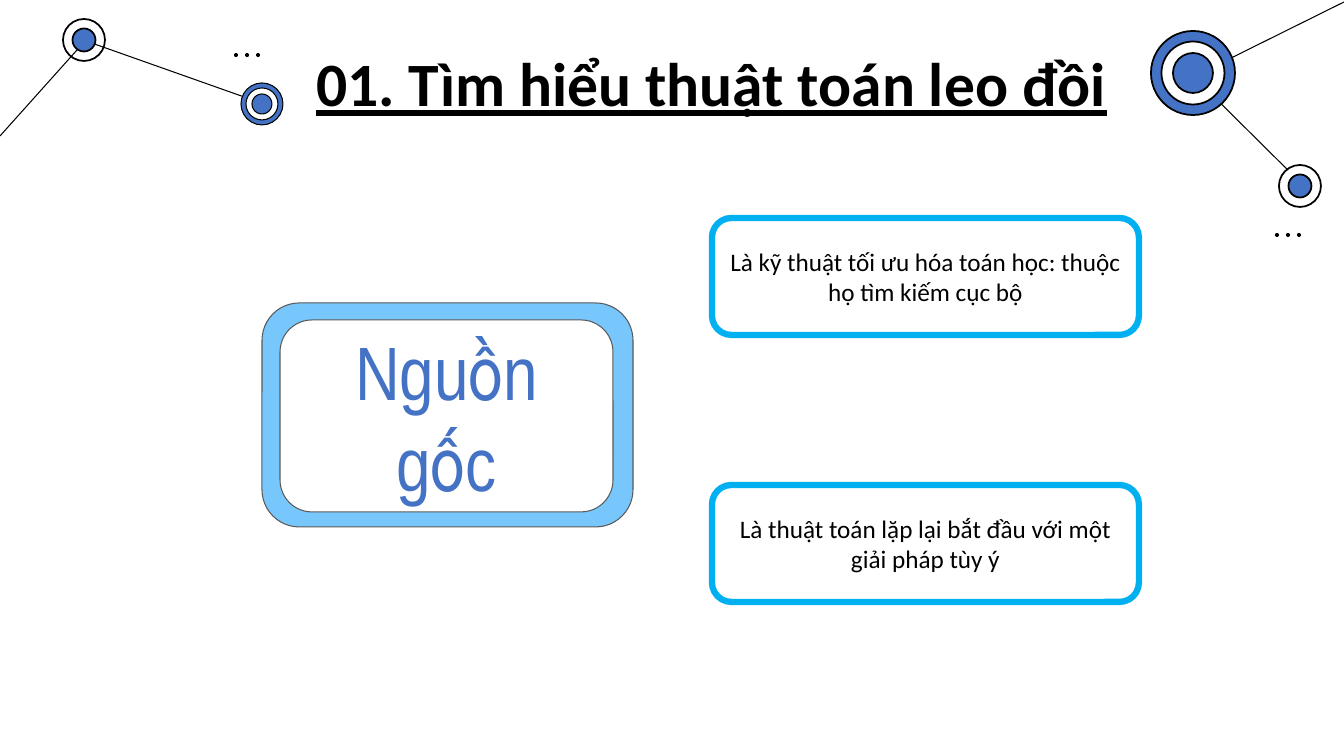
from dataclasses import dataclass
from typing import Optional

from pptx import Presentation
from pptx.dml.color import RGBColor
from pptx.enum import shapes, text
from pptx.oxml.ns import qn
from pptx.util import Emu, Pt


def px(pixels: float) -> Emu:
    return Emu(round(pixels * 914400 / 100.8))


@dataclass(frozen=True)
class Theme:
    ink: str = "000000"
    paper: str = "FFFFFF"
    accent: str = "4472C4"
    frame: str = "77C6FC"
    frame_line: str = "595959"
    card_line: str = "00B0F0"
    font: str = "Calibri"
    topic_font: str = "Arial Narrow"
    title_size: int = 44
    topic_size: int = 54
    card_size: int = 18
    thin: float = 0.75
    thick: float = 4.5


@dataclass(frozen=True)
class Node:
    x: int
    y: int
    rings: tuple[tuple[int, Optional[str]], ...]  # diameter and fill, outside in
    line: float = 1.25


@dataclass(frozen=True)
class Link:
    start: tuple[int, int]
    end: tuple[int, int]


@dataclass(frozen=True)
class Panel:
    box: tuple[int, int, int, int]
    fill: str
    line: str
    width: float


theme = Theme()
presentation = Presentation()
presentation.slide_width, presentation.slide_height = px(1344), px(756)
slide = presentation.slides.add_slide(presentation.slide_layouts[5])


def draw_shape(kind, box, fill: Optional[str], line: Optional[str] = None, width: float = 0):
    shape = slide.shapes.add_shape(kind, *map(px, box))
    shape.shadow.inherit = False
    if fill:
        shape.fill.solid()
        shape.fill.fore_color.rgb = RGBColor.from_string(fill)
    else:
        shape.fill.background()
    if line:
        shape.line.color.rgb = RGBColor.from_string(line)
        shape.line.width = Pt(width)
    else:
        shape.line.fill.background()
    return shape


def draw_link(link: Link) -> None:
    connector = slide.shapes.add_connector(
        shapes.MSO_CONNECTOR.STRAIGHT, *map(px, link.start + link.end))
    connector.line.color.rgb = RGBColor.from_string(theme.ink)
    connector.line.width = Pt(theme.thin)
    properties = connector._element.spPr
    properties.append(properties.makeelement(qn("a:effectLst"), {}))


def draw_node(node: Node) -> None:
    for size, fill in node.rings:
        box = (node.x - size / 2, node.y - size / 2, size, size)
        draw_shape(shapes.MSO_SHAPE.OVAL, box, fill, theme.ink, node.line)


def draw_dots(left: int, top: int) -> None:
    for index in range(3):
        draw_shape(shapes.MSO_SHAPE.OVAL, (left + 11 * index, top, 4, 4), theme.ink)


def draw_panel(panel: Panel):
    return draw_shape(shapes.MSO_SHAPE.ROUNDED_RECTANGLE, panel.box,
                      panel.fill, panel.line, panel.width)


def write(shape, words: str, font: str, size: int, color: str):
    frame = shape.text_frame
    frame.word_wrap = True
    frame.auto_size = text.MSO_AUTO_SIZE.NONE
    frame.vertical_anchor = text.MSO_ANCHOR.MIDDLE
    frame.text = words
    paragraph = frame.paragraphs[0]
    paragraph.alignment = text.PP_ALIGN.CENTER
    paragraph.font.name = font
    paragraph.font.size = Pt(size)
    paragraph.font.color.rgb = RGBColor.from_string(color)
    return paragraph


# Corner networks
for link in (
    Link((1300, 182), (1191, 74)),
    Link((86, 41), (264, 104)),
    Link((0, 136), (86, 40)),
    Link((1344, 2), (1199, 74)),
):
    draw_link(link)

for node in (
    Node(84, 40, ((42, None), (23, theme.accent))),
    Node(262, 104, ((42, theme.accent), (32, theme.paper), (20, theme.accent)), theme.thin),
    Node(1193, 73, ((84, theme.accent), (63, theme.paper), (40, theme.accent))),
    Node(1300, 186, ((42, theme.paper), (23, theme.accent))),
):
    draw_node(node)

draw_dots(234, 53)
draw_dots(1275, 233)

# Title
title = slide.shapes.title
title.left, title.top, title.width, title.height = map(px, (270, 43, 883, 88))
heading = write(title, "01. Tìm hiểu thuật toán leo đồi",
                theme.font, theme.title_size, theme.ink)
heading.font.bold = True
heading.font.underline = True
heading.line_spacing = 0.9

# Topic in its double frame
draw_panel(Panel((262, 303, 371, 224), theme.frame, theme.frame_line, theme.thin))
topic = draw_panel(Panel((280, 320, 333, 192), theme.paper, theme.frame_line, theme.thin))
write(topic, "Nguồn gốc", theme.topic_font, theme.topic_size, theme.accent)
topic.text_frame.margin_left = topic.text_frame.margin_right = px(25)
topic.text_frame.margin_top = topic.text_frame.margin_bottom = 0

# Explanation cards
explanations = (
    "Là kỹ thuật tối ưu hóa toán học: thuộc họ tìm kiếm cục bộ",
    "Là thuật toán lặp lại bắt đầu với một giải pháp tùy ý",
)
for row, explanation in enumerate(explanations):
    card = draw_panel(Panel((712, 218 + 267 * row, 427, 117),
                            theme.paper, theme.card_line, theme.thick))
    write(card, explanation, theme.font, theme.card_size, theme.ink)

presentation.save("out.pptx")
